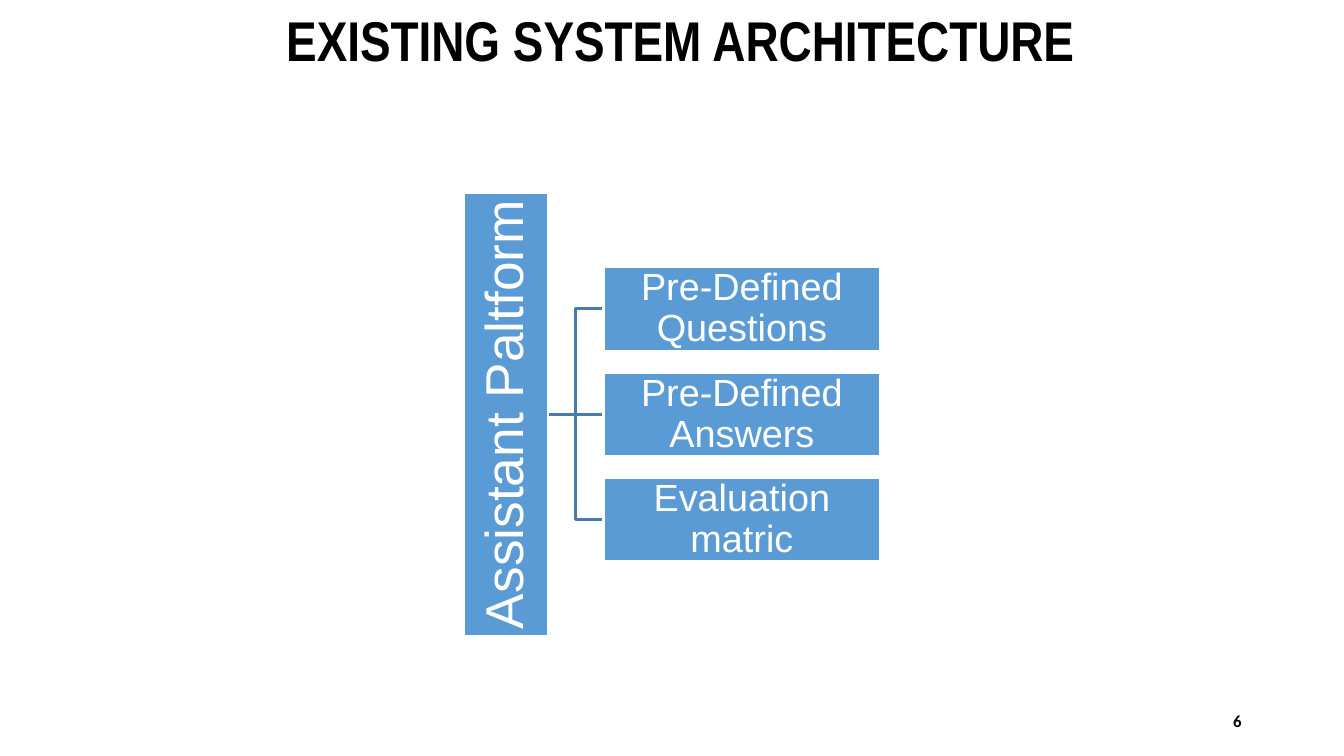
from dataclasses import dataclass

from lxml import etree
from pptx import Presentation
from pptx.dml.color import RGBColor
from pptx.enum.shapes import MSO_CONNECTOR, MSO_SHAPE
from pptx.enum.text import MSO_ANCHOR, MSO_AUTO_SIZE, PP_ALIGN
from pptx.oxml.ns import qn
from pptx.util import Pt

RECT = MSO_SHAPE.RECTANGLE
STRAIGHT, ELBOW = MSO_CONNECTOR.STRAIGHT, MSO_CONNECTOR.ELBOW
TOP, MIDDLE = MSO_ANCHOR.TOP, MSO_ANCHOR.MIDDLE
CENTER, RIGHT = PP_ALIGN.CENTER, PP_ALIGN.RIGHT
GROW = MSO_AUTO_SIZE.SHAPE_TO_FIT_TEXT
BLACK = RGBColor(0x00, 0x00, 0x00)
WHITE = RGBColor(0xFF, 0xFF, 0xFF)
BLUE = RGBColor(0x5B, 0x9B, 0xD5)
DARK_BLUE = RGBColor(0x49, 0x7C, 0xAB)

BOX_HEIGHT = 60.2
CENTER_Y = 296
ROOT_RIGHT = 391.5
ROOT_LENGTH = 316.8
CHILD_LEFT = 431.3
CHILD_WIDTH = 197.3
CHILD_STEP = 75.3
LINE_WIDTH = 2


@dataclass
class Box:
    text: str
    center_x: float
    center_y: float
    width: float
    size: float
    inset: float
    rotation: float = 0


def set_text(shape, text: str, *, size: float, font: str = "Arial",
             color: RGBColor = WHITE, bold: bool = False, align=CENTER,
             anchor=MIDDLE, spacing: float = 1.0,
             inset: tuple[float, float] = (7.2, 3.6)) -> None:
    tf = shape.text_frame
    tf.word_wrap = True
    tf.vertical_anchor = anchor
    tf.margin_left = tf.margin_right = Pt(inset[0])
    tf.margin_top = tf.margin_bottom = Pt(inset[1])
    p = tf.paragraphs[0]
    p.alignment = align
    p.line_spacing = spacing
    r = p.add_run()
    r.text = text
    r.font.name = font
    r.font.size = Pt(size)
    r.font.bold = bold
    r.font.color.rgb = color


def add_box(s, box: Box):
    sp = s.shapes.add_shape(RECT, Pt(box.center_x - box.width / 2),
                            Pt(box.center_y - BOX_HEIGHT / 2),
                            Pt(box.width), Pt(BOX_HEIGHT))
    sp.rotation = box.rotation
    sp.shadow.inherit = False
    sp.fill.solid()
    sp.fill.fore_color.rgb = BLUE
    sp.line.color.rgb = WHITE
    sp.line.width = Pt(LINE_WIDTH)
    set_text(sp, box.text, size=box.size, spacing=0.9,
             inset=(box.inset, box.inset))
    return sp


def add_branch(s, root, child, child_y: float) -> None:
    kind = STRAIGHT if child_y == CENTER_Y else ELBOW
    line = s.shapes.add_connector(kind, Pt(ROOT_RIGHT), Pt(CENTER_Y),
                                  Pt(CHILD_LEFT), Pt(child_y))
    line.begin_connect(root, 2)
    line.begin_x, line.begin_y = Pt(ROOT_RIGHT), Pt(CENTER_Y)
    line.end_connect(child, 1)
    line.line.color.rgb = DARK_BLUE
    line.line.width = Pt(LINE_WIDTH)
    etree.SubElement(line.element.spPr, qn("a:effectLst"))
    root.element.addprevious(line.element)


def main() -> None:
    prs = Presentation()
    prs.slide_width, prs.slide_height = Pt(960), Pt(540)
    s = prs.slides.add_slide(prs.slide_layouts[5])

    title = s.shapes.title
    title.left, title.top = Pt(0), Pt(0)
    title.width, title.height = Pt(972), Pt(55.4)
    set_text(title, "EXISTING SYSTEM ARCHITECTURE", size=40,
             font="Arial Narrow", color=BLACK, bold=True, anchor=TOP)
    title.text_frame.auto_size = GROW

    number = s.shapes.add_textbox(Pt(678), Pt(500.5), Pt(216), Pt(28.75))
    set_text(number, "6", size=12, font="Calibri", color=BLACK, bold=True,
             align=RIGHT)

    root = add_box(s, Box("Assistant Paltform", ROOT_RIGHT - BOX_HEIGHT / 2,
                          CENTER_Y, ROOT_LENGTH, 38, 1.9, 270))
    labels = ["Pre-Defined Questions", "Pre-Defined Answers",
              "Evaluation matric"]
    for i, label in enumerate(labels):
        y = CENTER_Y + (i - 1) * CHILD_STEP
        child = add_box(s, Box(label, CHILD_LEFT + CHILD_WIDTH / 2, y,
                               CHILD_WIDTH, 27, 1.35))
        add_branch(s, root, child, y)

    prs.save("out.pptx")


if __name__ == "__main__":
    main()
